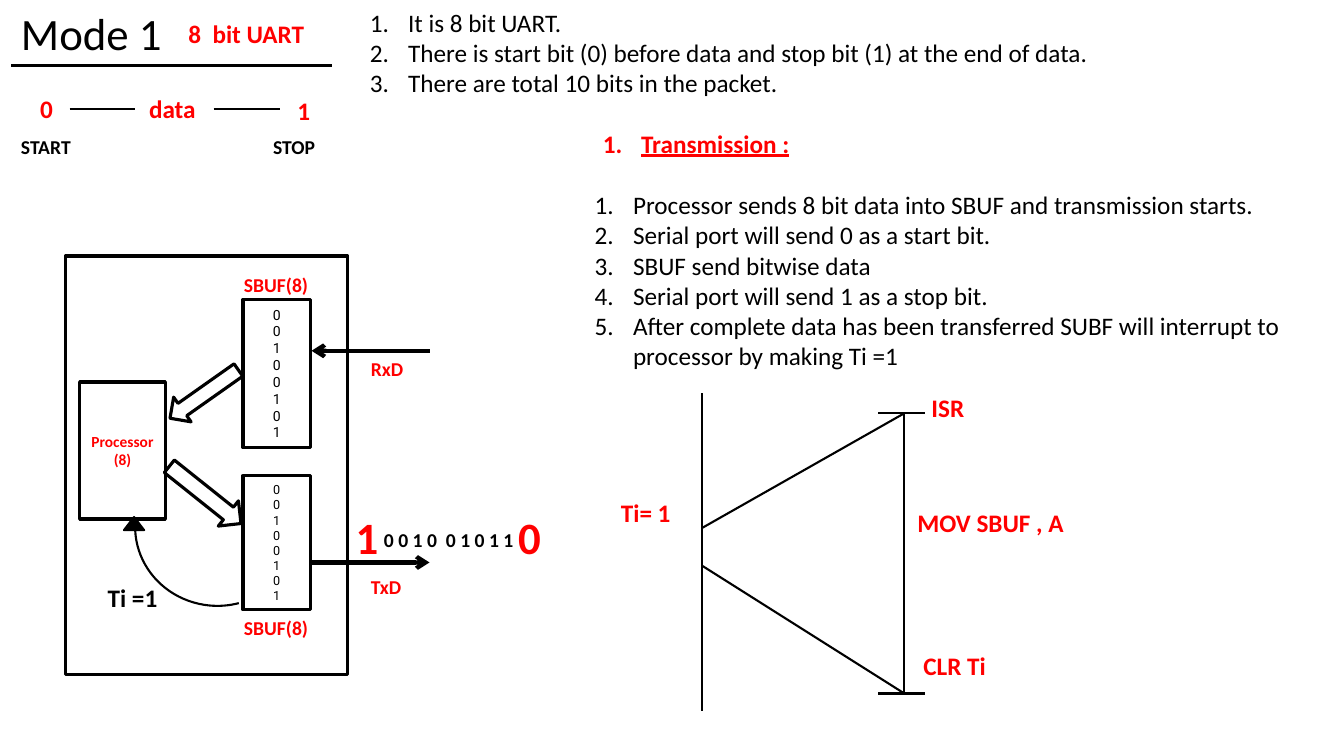
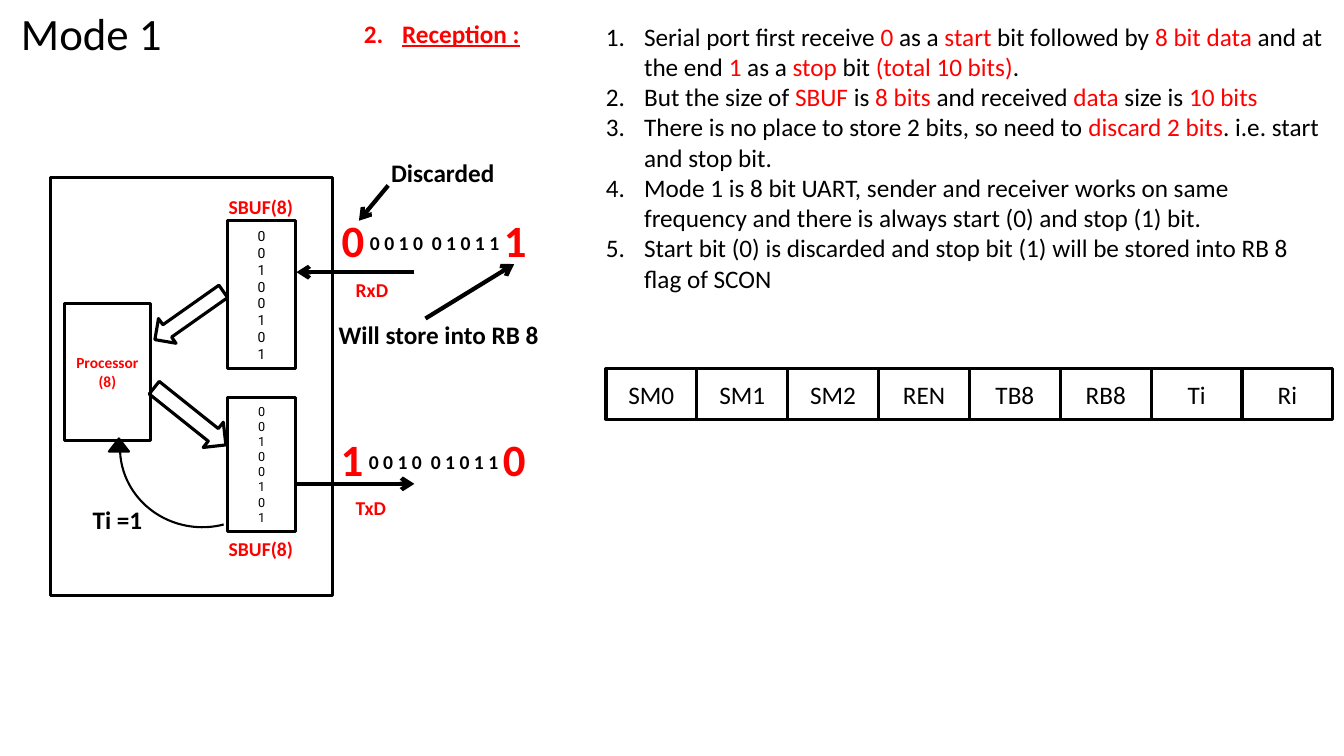
import dataclasses
import lxml.etree
import pptx
import pptx.dml.color
import pptx.enum.shapes
import pptx.enum.text
import pptx.oxml.ns
import pptx.util

Inches = pptx.util.Inches
Pt = pptx.util.Pt
Shape = pptx.enum.shapes.MSO_SHAPE
qn = pptx.oxml.ns.qn


@dataclasses.dataclass(frozen=True)
class Theme:
    ink: str = "000000"
    accent: str = "FF0000"
    font: str = "Calibri"
    digit_font: str = "Roboto"
    title: int = 32
    body: int = 18
    label: int = 14
    block: int = 11
    rx_digit: int = 10
    tx_digit: int = 9
    thin: float = 1.5
    medium: float = 2.25
    thick: float = 3
    indent: float = 0.38


THEME = Theme()


def rgb(color):
    return pptx.dml.color.RGBColor.from_string(color)


def outline_run(run):
    properties = run._r.get_or_add_rPr()
    line = lxml.etree.Element(qn("a:ln"), w=str(Pt(THEME.medium)))
    fill = lxml.etree.SubElement(line, qn("a:solidFill"))
    lxml.etree.SubElement(fill, qn("a:srgbClr"), val=THEME.ink)
    properties.insert(0, line)


def write_text(frame, text, size=THEME.body, color=THEME.ink, bold=False,
               font=THEME.font, align=None, hanging=False, numbered=False,
               underline_marked=False, outlined=False):
    """Each line is a paragraph; parts between asterisks are marked in the accent colour."""
    for index, line in enumerate(text.split("\n")):
        paragraph = frame.add_paragraph() if index else frame.paragraphs[0]
        paragraph.alignment = align
        if hanging or numbered:
            properties = paragraph._p.get_or_add_pPr()
            properties.set("marL", str(Inches(THEME.indent)))
            properties.set("indent", str(-Inches(THEME.indent)))
            if numbered:
                lxml.etree.SubElement(properties, qn("a:buAutoNum"), type="arabicPeriod")
        for position, part in enumerate(line.split("*")):
            if not part:
                continue
            marked = position % 2 == 1
            run = paragraph.add_run()
            run.text = part
            run.font.name = font
            run.font.size = Pt(size)
            run.font.bold = bold
            run.font.color.rgb = rgb(THEME.accent if marked else color)
            if marked and underline_marked:
                run.font.underline = True
            if outlined:
                outline_run(run)


class Deck:
    def __init__(self):
        self.presentation = pptx.Presentation()
        self.presentation.slide_width = Inches(13.33)
        self.presentation.slide_height = Inches(7.5)
        self.slide = None
        self.origin = (0, 0)

    def new_slide(self, title):
        self.slide = self.presentation.slides.add_slide(self.presentation.slide_layouts[6])
        self.origin = (0, 0)
        self.text(title, 0.11, 0.01, 1.78, 0.64, size=THEME.title)

    def place(self, left, top):
        return Inches(self.origin[0] + left), Inches(self.origin[1] + top)

    def text(self, text, left, top, width, height, wrap=True, **style):
        box = self.slide.shapes.add_textbox(
            *self.place(left, top), Inches(width), Inches(height))
        box.text_frame.word_wrap = wrap
        box.text_frame.auto_size = pptx.enum.text.MSO_AUTO_SIZE.SHAPE_TO_FIT_TEXT
        write_text(box.text_frame, text, **style)

    def label(self, text, left, top, width, height=0.4, color=THEME.accent, **style):
        self.text(text, left, top, width, height, color=color, bold=True, **style)

    def heading(self, text, left, top, width):
        self.label(text, left, top, width, wrap=False, hanging=True, underline_marked=True)

    def shape(self, kind, left, top, width, height, text="", weight=THEME.medium,
              fill=None, rotation=0, **style):
        shape = self.slide.shapes.add_shape(
            kind, *self.place(left, top), Inches(width), Inches(height))
        shape.shadow.inherit = False
        shape.rotation = rotation
        shape.line.color.rgb = rgb(THEME.ink)
        shape.line.width = Pt(weight)
        if fill:
            shape.fill.solid()
            shape.fill.fore_color.rgb = rgb(fill)
        else:
            shape.fill.background()
        if text:
            shape.text_frame.vertical_anchor = pptx.enum.text.MSO_ANCHOR.MIDDLE
            write_text(shape.text_frame, text, align=pptx.enum.text.PP_ALIGN.CENTER, **style)
        return shape

    def line(self, start, end, weight=THEME.thin, arrow=False):
        connector = self.slide.shapes.add_connector(
            pptx.enum.shapes.MSO_CONNECTOR.STRAIGHT, *self.place(*start), *self.place(*end))
        connector.line.color.rgb = rgb(THEME.ink)
        connector.line.width = Pt(weight)
        if arrow:
            lxml.etree.SubElement(connector.line._get_or_add_ln(), qn("a:tailEnd"), type="arrow")
        lxml.etree.SubElement(connector._element.spPr, qn("a:effectLst"))

    def arrow(self, start, end):
        self.line(start, end, weight=THEME.thick, arrow=True)

    def bit_stream(self, left, top, first, last):
        self.label("0 0 1 0  0 1 0 1 1", left + 0.28, top + 0.18, 1.82, 0.34,
                   color=THEME.ink, size=THEME.label)
        for bit, offset in ((first, 0), (last, 1.61)):
            self.label(bit, left + offset, top, 0.43, 0.64, wrap=False, size=THEME.title)

    def serial_port(self, left, top):
        self.origin = (left, top)
        self.shape(Shape.RECTANGLE, 0, 0, 2.8, 4.15)
        self.shape(Shape.RECTANGLE, 0.14, 1.25, 0.85, 1.36, "Processor\n(8)",
                   size=THEME.block, color=THEME.accent, bold=True)
        for buffer_top, height, size in ((0.43, 1.47, THEME.rx_digit),
                                         (2.18, 1.33, THEME.tx_digit)):
            self.shape(Shape.RECTANGLE, 1.76, buffer_top, 0.67, height,
                       "\n".join("00100101"), size=size,
                       font=THEME.digit_font, outlined=True)
        for text, label_left, label_top in (("SBUF(8)", 1.67, 0.12), ("SBUF(8)", 1.67, 3.52),
                                            ("RxD", 2.93, 0.95), ("TxD", 2.93, 3.11)):
            self.label(text, label_left, label_top, 1.06, 0.34, size=THEME.label)
        self.shape(Shape.RIGHT_ARROW, 0.96, 1.22, 0.83, 0.3, rotation=144.8)
        self.shape(Shape.RIGHT_ARROW, 0.93, 2.21, 0.91, 0.32, rotation=38.6)
        self.arrow((3.61, 0.94), (2.44, 0.94))
        self.arrow((2.44, 3.04), (3.61, 3.04))
        self.bit_stream(2.78, 2.47, "1", "0")
        arc = self.shape(Shape.ARC, 0.69, 1.92, 1.62, 1.55, weight=THEME.thin, rotation=185.5)
        arc.adjustments[0] = 148.92
        arc.adjustments[1] = 0
        self.shape(Shape.ISOSCELES_TRIANGLE, 0.58, 2.59, 0.2, 0.13,
                   weight=THEME.thin, fill=THEME.ink)
        self.label("Ti =1", 0.32, 3.19, 0.7, color=THEME.ink, wrap=False)
        self.origin = (0, 0)

    def packet(self):
        for text, left, top, width in (("0", 0.3, 0.88, 0.39), ("data", 1.38, 0.88, 0.67),
                                       ("1", 2.85, 0.9, 0.39)):
            self.label(text, left, top, width, wrap=False)
        for text, left, width in (("START", 0.11, 0.7), ("STOP", 2.61, 0.62)):
            self.label(text, left, 1.29, width, 0.34, color=THEME.ink,
                       size=THEME.label, wrap=False)
        for left, right in ((0.69, 1.34), (2.12, 2.78)):
            self.line((left, 1.08), (right, 1.08))

    def interrupt_flow(self):
        program, routine, top, bottom = 6.96, 8.97, 4.1, 6.88
        self.line((program, 3.9), (program, 7.05))
        self.line((routine, top), (program, 5.24))
        self.line((routine, bottom), (program, 5.61))
        self.line((routine, top), (routine, bottom))
        for height in (top, bottom):
            self.line((8.71, height), (9.17, height))
        for text, left, label_top, width in (("Ti= 1", 6.06, 4.88, 1.73),
                                             ("ISR", 9.14, 3.84, 1.22),
                                             ("MOV SBUF , A", 9.0, 4.98, 2.0),
                                             ("CLR Ti", 9.06, 6.4, 1.22)):
            self.label(text, left, label_top, width, 0.45)

    def register(self, names, left, top, width, height):
        cell = width / len(names)
        for index, name in enumerate(names):
            self.shape(Shape.RECTANGLE, left + index * cell, top, cell, height, name)


def transmission_slide(deck):
    deck.new_slide("Mode 1")
    deck.label("8  bit UART", 1.77, 0.13, 1.38)
    deck.line((0.11, 0.65), (3.29, 0.65))
    deck.packet()
    deck.text("It is 8 bit UART.\n"
              "There is start bit (0) before data and stop bit (1) at the end of data.\n"
              "There are total 10 bits in the packet.",
              3.57, 0.02, 7.53, 1.31, numbered=True)
    deck.heading("1.\t*Transmission :*", 5.88, 1.22, 2.05)
    deck.text("Processor sends 8 bit data into SBUF and transmission starts.\n"
              "Serial port will send 0 as a start bit.\n"
              "SBUF send bitwise data\n"
              "Serial port will send 1 as a stop bit.\n"
              "After complete data has been transferred SUBF will interrupt to "
              "processor by making Ti =1",
              5.8, 1.83, 7.32, 2.22, numbered=True)
    deck.serial_port(0.65, 2.54)
    deck.interrupt_flow()


def reception_slide(deck):
    deck.new_slide("Mode 1")
    deck.heading("2.\t*Reception :*", 3.51, 0.13, 1.75)
    deck.serial_port(0.5, 1.76)
    deck.bit_stream(3.29, 2.06, "0", "1")
    deck.text("Serial port first receive *0* as a *start* bit followed by *8 bit data* "
              "and at the end *1* as a *stop* bit *(total 10 bits)*.\n"
              "But the size of *SBUF* is *8 bits* and received *data* size is *10 bits*\n"
              "There is no place to store 2 bits, so need to *discard 2 bits*. "
              "i.e. start and stop bit.\n"
              "Mode 1 is 8 bit UART, sender and receiver works on same frequency "
              "and there is always start (0) and stop (1) bit.\n"
              "Start bit (0) is discarded and stop bit (1) will be stored into "
              "RB 8 flag of SCON",
              5.91, 0.16, 7.32, 3.13, numbered=True)
    deck.arrow((3.85, 1.84), (3.56, 2.19))
    deck.label("Discarded", 3.78, 1.51, 1.29, color=THEME.ink, wrap=False)
    deck.arrow((4.22, 3.16), (5.1, 2.62))
    deck.label("Will store into RB 8", 3.26, 3.12, 2.2, color=THEME.ink, wrap=False)
    deck.register(("SM0", "SM1", "SM2", "REN", "TB8", "RB8", "Ti", "Ri"),
                  6.01, 3.66, 7.21, 0.5)


def main():
    deck = Deck()
    transmission_slide(deck)
    reception_slide(deck)
    deck.presentation.save("out.pptx")


if __name__ == "__main__":
    main()
